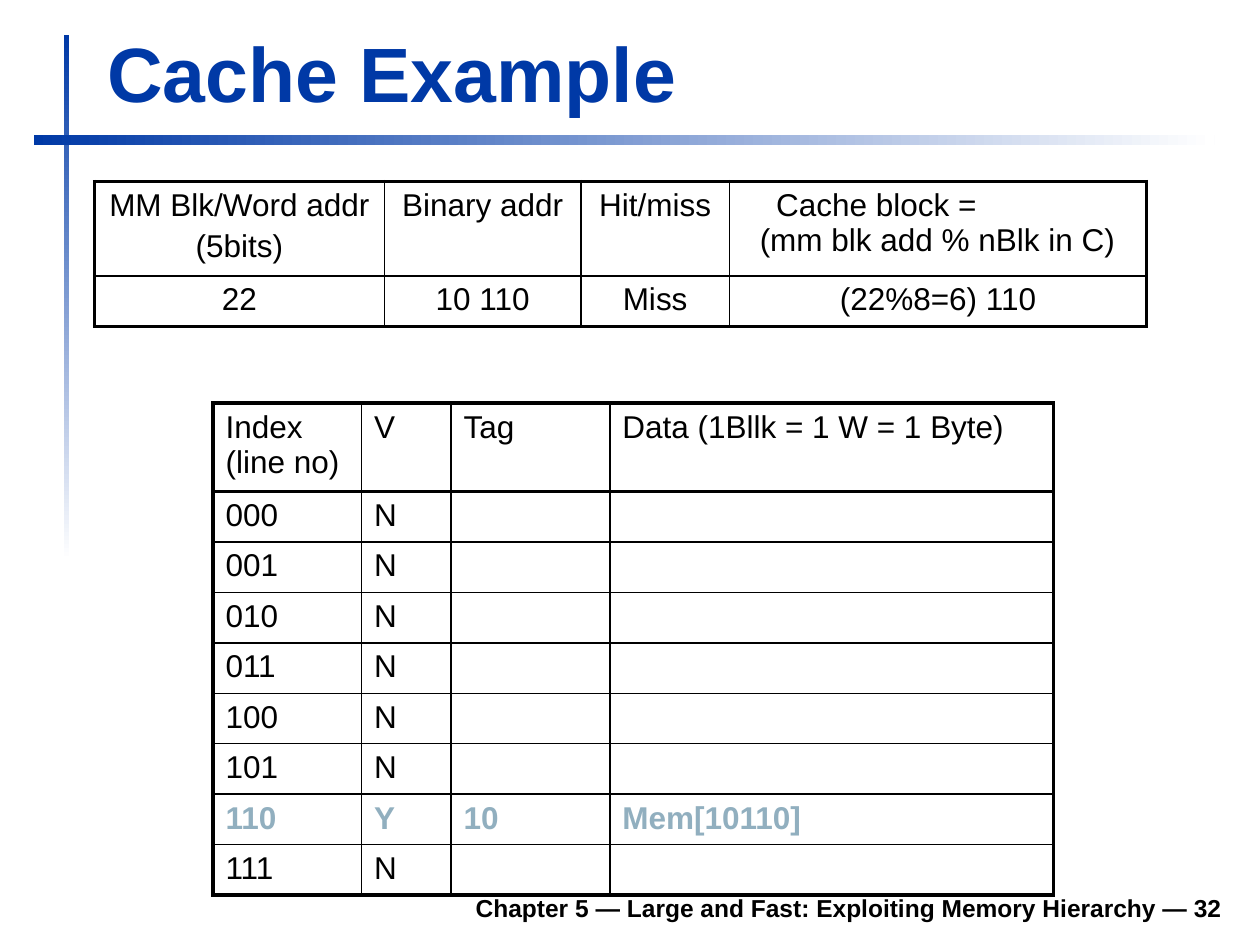
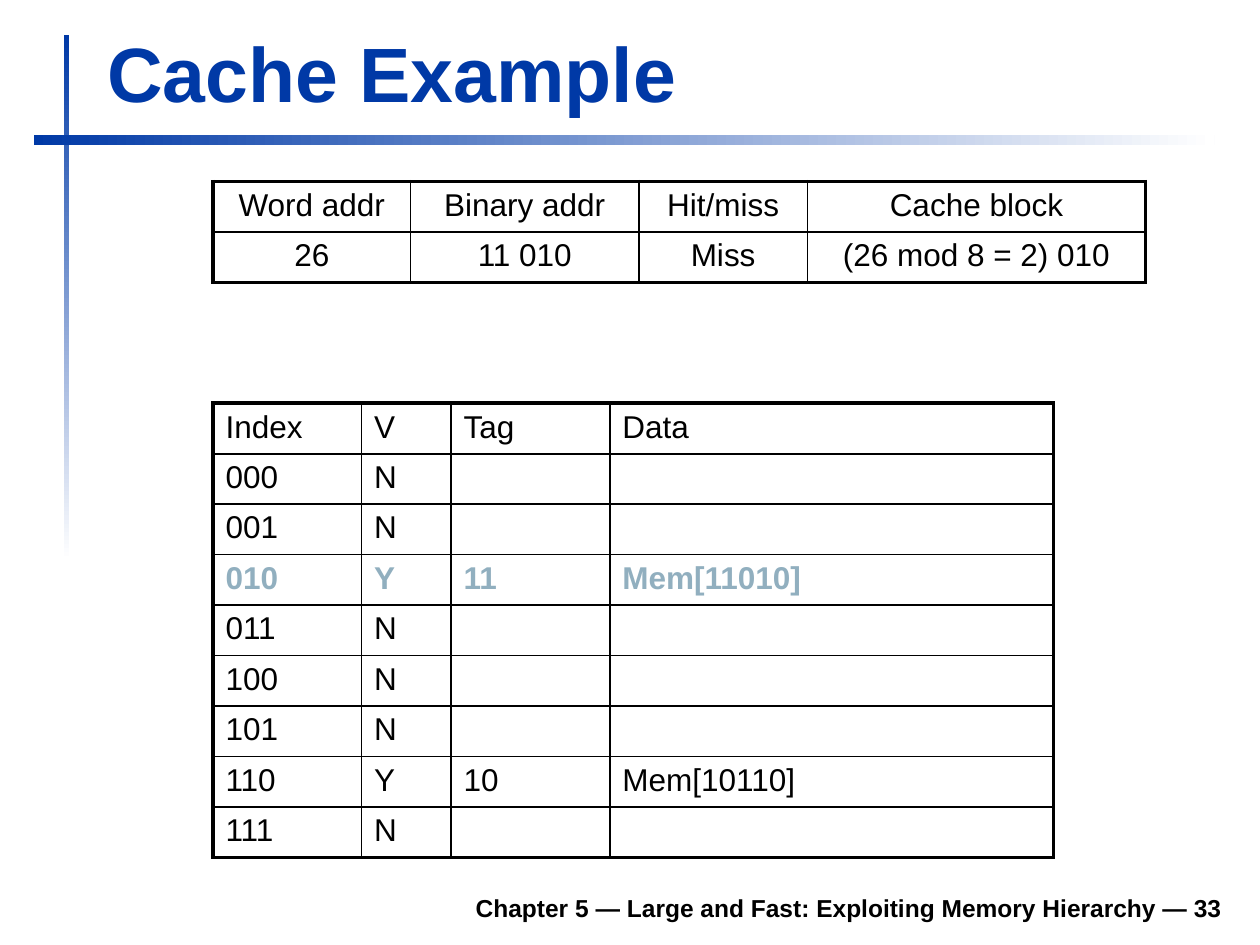
"""Builds two slides that trace accesses to an eight-line direct-mapped cache."""
from dataclasses import dataclass

from lxml.etree import SubElement
from pptx import Presentation
from pptx.dml.color import RGBColor
from pptx.enum.shapes import MSO_SHAPE
from pptx.enum.text import MSO_ANCHOR, PP_ALIGN
from pptx.oxml.ns import qn
from pptx.util import Inches, Pt

FONT = "Arial"
BLUE, BLACK, WHITE, HIGHLIGHT = "0039A6", "000000", "FFFFFF", "91AFBF"
OUTER, HEADER_RULE, INNER = 2.25, 1.5, 1
ROW_HEIGHT = 0.4
CACHE_COLUMNS = (1.18, 0.71, 1.26, 3.52)
CACHE_LINES = 8


@dataclass(frozen=True)
class Rule:
    """A decorative bar that fades from blue to white."""
    left: float
    top: float
    width: float
    height: float
    angle: int


@dataclass(frozen=True)
class Grid:
    """A bordered table with a header row."""
    left: float
    top: float
    columns: tuple
    rows: list
    header_height: float = ROW_HEIGHT
    align: PP_ALIGN = PP_ALIGN.LEFT
    highlighted_row: int = -1


@dataclass(frozen=True)
class Access:
    """One memory access, with the state of the cache after it."""
    number: int
    lookup: Grid
    cache_header: tuple
    cache_header_height: float
    tags: dict
    loaded_line: int


RULES = (Rule(0.51, 0.28, 0.04, 4.17, 270), Rule(0.27, 1.07, 9.37, 0.08, 0))

ACCESSES = (
    Access(
        32,
        Grid(0.75, 1.44, (2.3, 1.56, 1.18, 3.31), [
            ("MM Blk/Word addr\n(5bits)", "Binary addr", "Hit/miss",
             "Cache block =\v(mm blk add % nBlk in C)"),
            ("22", "10 110", "Miss", "(22%8=6) 110"),
        ], 0.71, PP_ALIGN.CENTER),
        ("Index (line no)", "V", "Tag", "Data (1Bllk = 1 W = 1 Byte)"),
        0.66, {6: "10"}, 6,
    ),
    Access(
        33,
        Grid(1.69, 1.44, (1.57, 1.81, 1.34, 2.68), [
            ("Word addr", "Binary addr", "Hit/miss", "Cache block"),
            ("26", "11 010", "Miss", "(26 mod 8 = 2) 010"),
        ], align=PP_ALIGN.CENTER),
        ("Index", "V", "Tag", "Data"),
        ROW_HEIGHT, {2: "11", 6: "10"}, 2,
    ),
)


def rgb(color: str) -> RGBColor:
    """Turn a hex string into a colour."""
    return RGBColor.from_string(color)


def format_text(frame, size: float, color: str, bold: bool, align: PP_ALIGN) -> None:
    """Apply one font and alignment to all the text of a frame."""
    for position, paragraph in enumerate(frame.paragraphs):
        paragraph.alignment = align
        if position:
            paragraph.space_before = Pt(3.6)
        for run in paragraph.runs:
            run.font.name, run.font.size, run.font.bold = FONT, Pt(size), bold
            run.font.color.rgb = rgb(color)


def add_rule(slide, rule: Rule) -> None:
    """Draw a fading bar."""
    bar = slide.shapes.add_shape(
        MSO_SHAPE.RECTANGLE, Inches(rule.left), Inches(rule.top),
        Inches(rule.width), Inches(rule.height))
    bar.shadow.inherit = False
    bar.line.fill.background()
    bar.fill.gradient()
    bar.fill.gradient_angle = rule.angle
    for stop, color in zip(bar.fill.gradient_stops, (BLUE, WHITE)):
        stop.color.rgb = rgb(color)


def add_title(slide, text: str) -> None:
    """Place and format the title placeholder."""
    title = slide.shapes.title
    title.left, title.top = Inches(0.75), Inches(0.16)
    title.width, title.height = Inches(9.03), Inches(0.83)
    title.text_frame.text = text
    title.text_frame.vertical_anchor = MSO_ANCHOR.BOTTOM
    format_text(title.text_frame, 44, BLUE, True, PP_ALIGN.LEFT)


def add_footer(slide, number: int) -> None:
    """Write the chapter line with the slide number."""
    footer = slide.shapes.add_textbox(
        Inches(1.85), Inches(6.98), Inches(7.95), Inches(0.39)).text_frame
    footer.word_wrap = True
    footer.vertical_anchor = MSO_ANCHOR.BOTTOM
    footer.text = f"Chapter 5 — Large and Fast: Exploiting Memory Hierarchy — {number}"
    format_text(footer, 14, BLACK, True, PP_ALIGN.RIGHT)


def set_borders(cell, left: float, right: float, top: float, bottom: float) -> None:
    """Draw the four borders of a cell with the given point widths."""
    properties = cell._tc.get_or_add_tcPr()
    for side, width in zip("LRTB", (left, right, top, bottom)):
        border = SubElement(properties, qn(f"a:ln{side}"), w=str(Pt(width)))
        fill = SubElement(border, qn("a:solidFill"))
        SubElement(fill, qn("a:srgbClr"), val=BLACK)


def add_grid(slide, grid: Grid):
    """Draw a table with a heavy frame and a ruled header."""
    row_count, column_count = len(grid.rows), len(grid.columns)
    height = grid.header_height + ROW_HEIGHT * (row_count - 1)
    table = slide.shapes.add_table(
        row_count, column_count, Inches(grid.left), Inches(grid.top),
        Inches(sum(grid.columns)), Inches(height)).table
    table.first_row = table.horz_banding = False
    for column, width in zip(table.columns, grid.columns):
        column.width = Inches(width)
    row_rules = [OUTER, HEADER_RULE] + [INNER] * (row_count - 2) + [OUTER]
    column_rules = [OUTER] + [INNER] * (column_count - 1) + [OUTER]
    for r, texts in enumerate(grid.rows):
        table.rows[r].height = Inches(ROW_HEIGHT if r else grid.header_height)
        highlighted = r == grid.highlighted_row
        for c, text in enumerate(texts):
            cell = table.cell(r, c)
            set_borders(cell, *column_rules[c:c + 2], *row_rules[r:r + 2])
            cell.fill.background()
            cell.text_frame.text = text
            format_text(cell.text_frame, 18, HIGHLIGHT if highlighted else BLACK,
                        highlighted, grid.align)
    return table


def indent_broken_header(table) -> None:
    """Set a last header of two lines flush left, with its first line indented."""
    header = table.cell(0, len(table.columns) - 1).text_frame.paragraphs[0]
    if "\v" in header.text:
        header.alignment = PP_ALIGN.LEFT
        properties = header._p.get_or_add_pPr()
        properties.set("marL", str(Inches(0.14)))
        properties.set("indent", str(Inches(0.13)))


def cache_grid(access: Access) -> Grid:
    """Derive the cache table from the tags that are loaded."""
    rows = [access.cache_header]
    for line in range(CACHE_LINES):
        index, tag = f"{line:03b}", access.tags.get(line)
        rows.append((index, "Y", tag, f"Mem[{tag}{index}]") if tag
                    else (index, "N", "", ""))
    return Grid(1.69, 3.2, CACHE_COLUMNS, rows, access.cache_header_height,
                highlighted_row=access.loaded_line + 1)


def main() -> None:
    """Build and save the presentation."""
    presentation = Presentation()
    presentation.slide_width, presentation.slide_height = Inches(10), Inches(7.5)
    for access in ACCESSES:
        slide = presentation.slides.add_slide(presentation.slide_layouts[5])
        for rule in RULES:
            add_rule(slide, rule)
        add_footer(slide, access.number)
        add_title(slide, "Cache Example")
        add_grid(slide, cache_grid(access))
        indent_broken_header(add_grid(slide, access.lookup))
    presentation.save("out.pptx")


if __name__ == "__main__":
    main()
